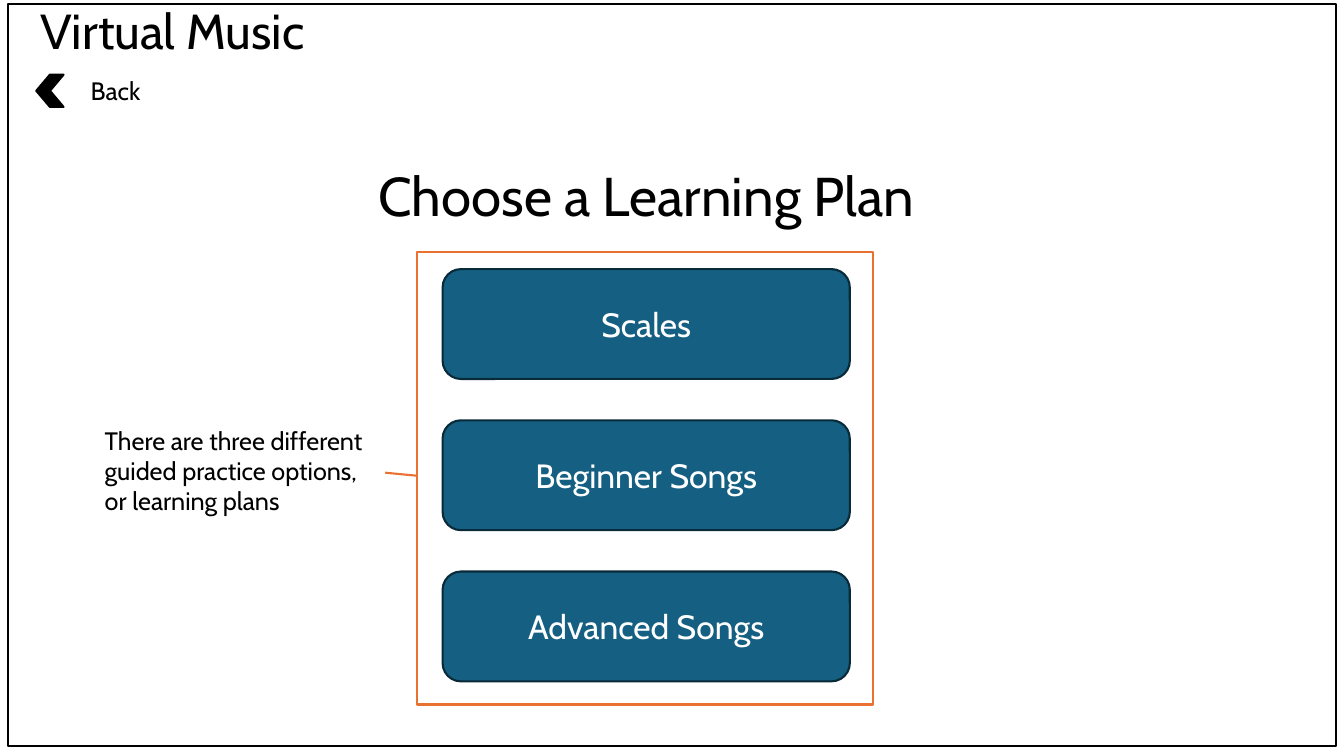
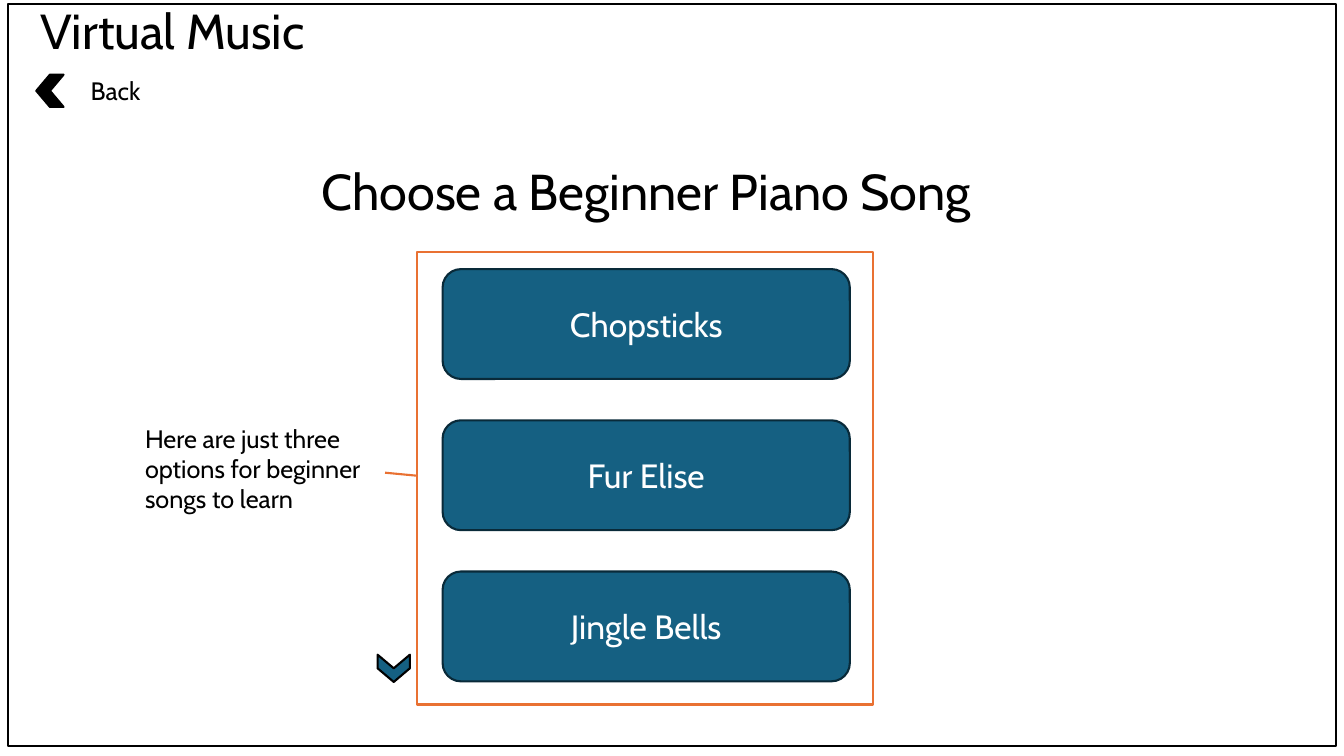
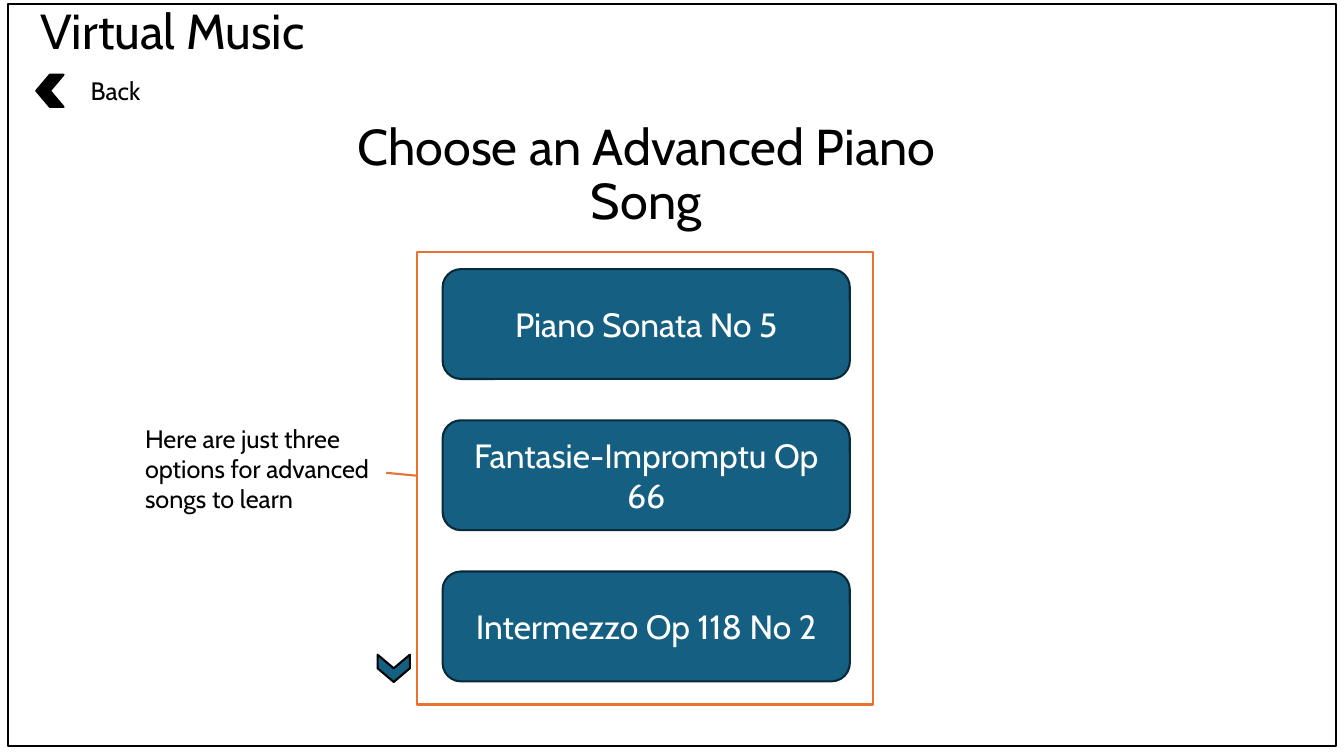
"""Build three music lesson menu slides on a grid of 100 columns by 100 rows."""
from pptx import Presentation
from pptx import util as u
from pptx.dml.color import RGBColor
from pptx.enum import shapes, text
from pptx.oxml.ns import qn
from lxml import etree

HUES = {"ink": "000000", "paper": "FFFFFF", "blue": "156082",
        "navy": "092A39", "orange": "E97132"}
KINDS, ALIGN, ANCHOR = shapes.MSO_SHAPE, text.PP_ALIGN, text.MSO_ANCHOR

deck = Presentation()
deck.slide_width, deck.slide_height = u.Inches(13.33), u.Inches(7.5)
COL, ROW = deck.slide_width / 100, deck.slide_height / 100
MID = 48.08


def write(shape, words, at=None, size=18, hue="ink", align=ALIGN.LEFT,
          anchor=ANCHOR.TOP, lead=1.0):
    """Fill a shape or placeholder with one formatted paragraph."""
    if at:
        shape.left, shape.top = int(at[0] * COL), int(at[1] * ROW)
        shape.width, shape.height = int(at[2] * COL), int(at[3] * ROW)
    frame = shape.text_frame
    frame.word_wrap, frame.auto_size = True, text.MSO_AUTO_SIZE.NONE
    frame.vertical_anchor = anchor
    para = frame.paragraphs[0]
    para.alignment, para.line_spacing = align, lead
    para.space_before = u.Pt(0)
    run = para.add_run()
    run.text = words
    run.font.name, run.font.size = "Cabin", u.Pt(size)
    run.font.color.rgb = RGBColor.from_string(HUES[hue])


def draw(slide, kind, at, fill=None, line=None, turn=0):
    """Add a preset shape at grid place (left, top, width, height)."""
    left, top, wide, high = at
    shape = slide.shapes.add_shape(kind, int(left * COL), int(top * ROW),
                                   int(wide * COL), int(high * ROW))
    shape.shadow.inherit = False
    shape.rotation = turn
    if fill:
        shape.fill.solid()
        shape.fill.fore_color.rgb = RGBColor.from_string(HUES[fill])
    else:
        shape.fill.background()
    if line:
        shape.line.color.rgb = RGBColor.from_string(HUES[line])
        shape.line.width = u.Pt(1.5)
    else:
        shape.line.fill.background()
    return shape


PAGES = [
    {"head": "Choose a Learning Plan", "size": 39, "place": (19.2, 42.6, 11.6),
     "songs": ["Scales", "Beginner Songs", "Advanced Songs"],
     "note": "There are three different guided practice options, or learning plans",
     "spot": (7.05, 55.6, 21.6, 13.47), "scroll": False},
    {"head": "Choose a Beginner Piano Song", "size": 36, "place": (18.4, 50.48, 11.6),
     "songs": ["Chopsticks", "Fur Elise", "Jingle Bells"],
     "note": "Here are just three options for beginner songs to learn",
     "spot": (10.05, 55.33, 17.7, 13.47), "scroll": True},
    {"head": "Choose an Advanced Piano Song", "size": 36, "place": (17.47, 52.95, 13.73),
     "songs": ["Piano Sonata No 5", "Fantasie-Impromptu Op 66", "Intermezzo Op 118 No 2"],
     "note": "Here are just three options for advanced songs to learn",
     "spot": (10.05, 55.33, 18.68, 13.47), "scroll": True},
]

for page in PAGES:
    slide = deck.slides.add_slide(deck.slide_layouts[0])
    title, brand = slide.placeholders
    top, wide, high = page["place"]
    write(title, page["head"], at=(MID - wide / 2, top, wide, high),
          size=page["size"], align=ALIGN.CENTER, anchor=ANCHOR.BOTTOM, lead=0.9)
    write(brand, "Virtual Music", at=(0, 0.13, 25.65, 8.53), size=35.1,
          align=ALIGN.CENTER, anchor=ANCHOR.BOTTOM, lead=0.9)

    draw(slide, KINDS.RECTANGLE, (0.6, 0.53, 98.78, 98.13), line="ink")
    draw(slide, KINDS.CHEVRON, (2.7, 9.87, 2.03, 4.27), "ink", "ink", turn=180)
    back = slide.shapes.add_textbox(0, 0, 0, 0)
    write(back, "Back", at=(6, 9.33, 6.08, 5.33))

    for row, song in enumerate(page["songs"]):
        button = draw(slide, KINDS.ROUNDED_RECTANGLE,
                      (32.93, 35.6 + 20 * row, 30.3, 14.53), "blue", "navy")
        write(button, song, size=24, hue="paper", align=ALIGN.CENTER,
              anchor=ANCHOR.MIDDLE)

    link = slide.shapes.add_connector(
        shapes.MSO_CONNECTOR.STRAIGHT, int(28.65 * COL), int(62.53 * ROW),
        int(31.05 * COL), int(62.93 * ROW))
    link.line.color.rgb = RGBColor.from_string(HUES["orange"])
    link.line.width = u.Pt(1.5)
    etree.SubElement(link._element.spPr, qn("a:effectLst"))
    draw(slide, KINDS.RECTANGLE, (31.05, 33.33, 33.9, 59.87), line="orange")

    note = draw(slide, KINDS.RECTANGLE, page["spot"], "paper")
    write(note, page["note"])
    if page["scroll"]:
        draw(slide, KINDS.CHEVRON, (28.28, 86.27, 2.03, 4.27), "blue", "ink", turn=90)

deck.save("out.pptx")
